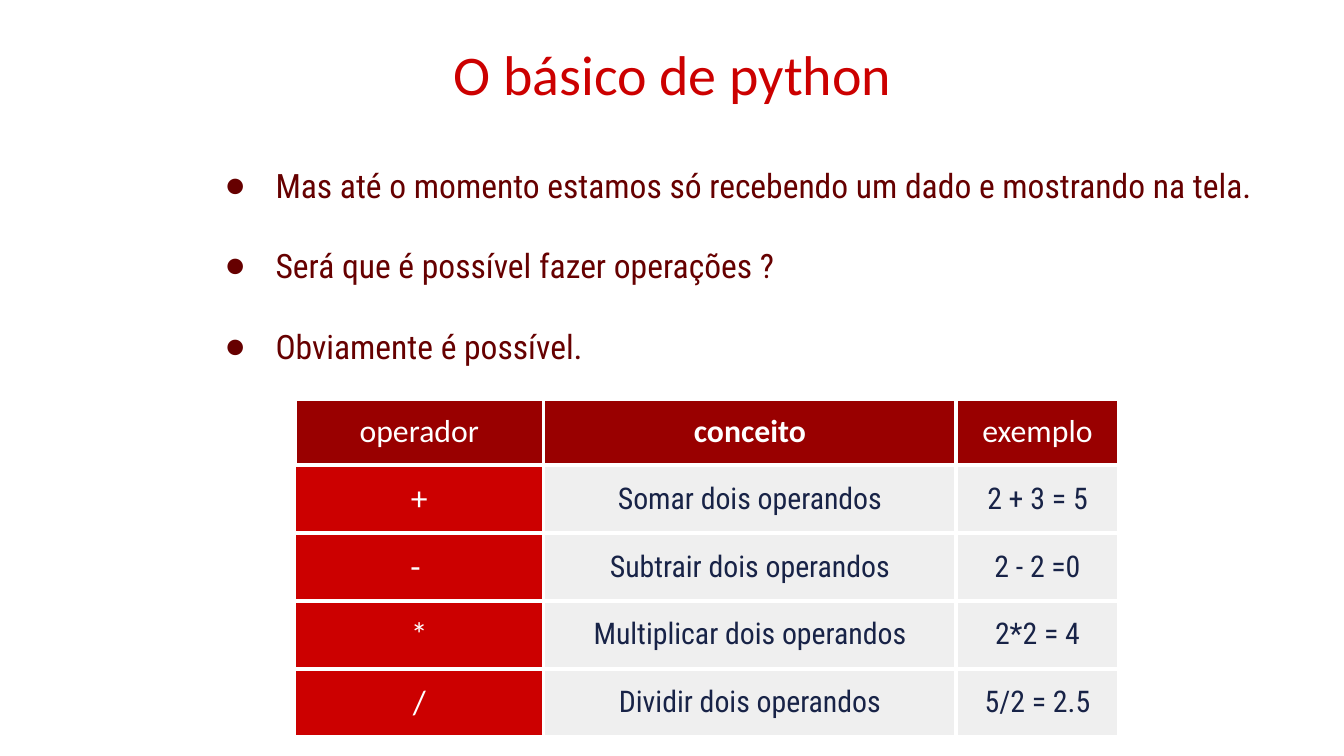
from lxml.etree import SubElement
from pptx import Presentation
from pptx.dml.color import RGBColor
from pptx.enum.text import MSO_ANCHOR, MSO_AUTO_SIZE, PP_ALIGN
from pptx.oxml.ns import qn
from pptx.util import Pt

PX = 4572
RED = RGBColor(0xCC, 0x00, 0x00)
DARK_RED = RGBColor(0x99, 0x00, 0x00)
MAROON = RGBColor(0x66, 0x00, 0x00)
NAVY = RGBColor(0x18, 0x23, 0x47)
LIGHT_GRAY = RGBColor(0xEF, 0xEF, 0xEF)
WHITE = RGBColor(0xFF, 0xFF, 0xFF)

TITLE_FONT = {"name": "Calibri", "size": Pt(30), "bold": False}
BODY_FONT = {"name": "Roboto Condensed", "size": Pt(18), "bold": False}
HEADER_FONT = {"name": "Calibri", "size": Pt(17), "bold": False}
CONCEPT_FONT = {"name": "Calibri", "size": Pt(17), "bold": True}
OPERATOR_FONT = {"name": "Calibri", "size": Pt(18), "bold": False}
CELL_FONT = {"name": "Roboto Condensed", "size": Pt(16), "bold": False}


def format_font(paragraph, values, color):
    for name, value in values.items():
        setattr(paragraph.font, name, value)
    paragraph.font.color.rgb = color


def place_placeholder(shape, box, margins):
    for name, value in zip(("left", "top", "width", "height"), box):
        setattr(shape, name, value * PX)
    frame = shape.text_frame
    for name, value in zip(("left", "top", "right", "bottom"), margins):
        setattr(frame, f"margin_{name}", value * PX)
    frame.word_wrap = True
    frame.auto_size = MSO_AUTO_SIZE.NONE
    frame.vertical_anchor = MSO_ANCHOR.TOP


presentation = Presentation()
presentation.slide_width = 2000 * PX
presentation.slide_height = 1125 * PX
slide = presentation.slides.add_slide(presentation.slide_layouts[1])

title = slide.shapes.title
place_placeholder(title, (158, 39, 1686, 126), (20, 20, 20, 20))
title.text_frame.text = "O básico de python"
title.text_frame.paragraphs[0].alignment = PP_ALIGN.CENTER
format_font(title.text_frame.paragraphs[0], TITLE_FONT, RED)

body = slide.placeholders[1]
place_placeholder(body, (290, 245, 1632, 318), (20, 0, 0, 0))
body.text_frame.text = "\n".join([
    "Mas até o momento estamos só recebendo um dado e mostrando na tela.",
    "Será que é possível fazer operações ?",
    "Obviamente é possível.",
])
for index, paragraph in enumerate(body.text_frame.paragraphs):
    properties = paragraph._p.get_or_add_pPr()
    properties.set("marL", str(100 * PX))
    properties.set("indent", str(-75 * PX))
    bullet_color = SubElement(properties, qn("a:buClr"))
    SubElement(bullet_color, qn("a:srgbClr"), val=str(MAROON))
    SubElement(properties, qn("a:buFont"), typeface="Calibri")
    SubElement(properties, qn("a:buChar"), char="●")
    paragraph.space_before = Pt(21.5 if index else 0)
    format_font(paragraph, BODY_FONT, MAROON)

rows = [
    ("operador", "conceito", "exemplo"),
    ("+", "Somar dois operandos", "2 + 3 = 5"),
    ("- ", "Subtrair dois operandos", "2 - 2 =0"),
    ("*", "Multiplicar dois operandos", "2*2 = 4"),
    ("/", "Dividir dois operandos", "5/2 = 2.5"),
]
column_widths = (370, 614, 242)
row_height = 74
table = slide.shapes.add_table(
    len(rows), len(column_widths), 439 * PX, 594 * PX,
    sum(column_widths) * PX, len(rows) * row_height * PX,
).table
table.first_row = False
table.horz_banding = False
for column, width in zip(table.columns, column_widths):
    column.width = width * PX

for row_index, row in enumerate(rows):
    table.rows[row_index].height = row_height * PX
    for column_index, text in enumerate(row):
        if row_index == 0:
            font = CONCEPT_FONT if column_index == 1 else HEADER_FONT
            color, fill = WHITE, DARK_RED
        elif column_index == 0:
            font, color, fill = OPERATOR_FONT, WHITE, RED
        else:
            font, color, fill = CELL_FONT, NAVY, LIGHT_GRAY
        cell = table.cell(row_index, column_index)
        cell.text = text
        cell.vertical_anchor = MSO_ANCHOR.MIDDLE
        for side in ("left", "top", "right", "bottom"):
            setattr(cell, f"margin_{side}", 20 * PX)
        paragraph = cell.text_frame.paragraphs[0]
        paragraph.alignment = PP_ALIGN.CENTER
        format_font(paragraph, font, color)
        properties = cell._tc.get_or_add_tcPr()
        sides = "RTB" if row_index and column_index == 0 else "LRTB"
        for side in sides:
            border = SubElement(properties, qn(f"a:ln{side}"), w=str(Pt(2.25)))
            border_fill = SubElement(border, qn("a:solidFill"))
            SubElement(border_fill, qn("a:srgbClr"), val=str(WHITE))
        cell.fill.solid()
        cell.fill.fore_color.rgb = fill

presentation.save("out.pptx")
